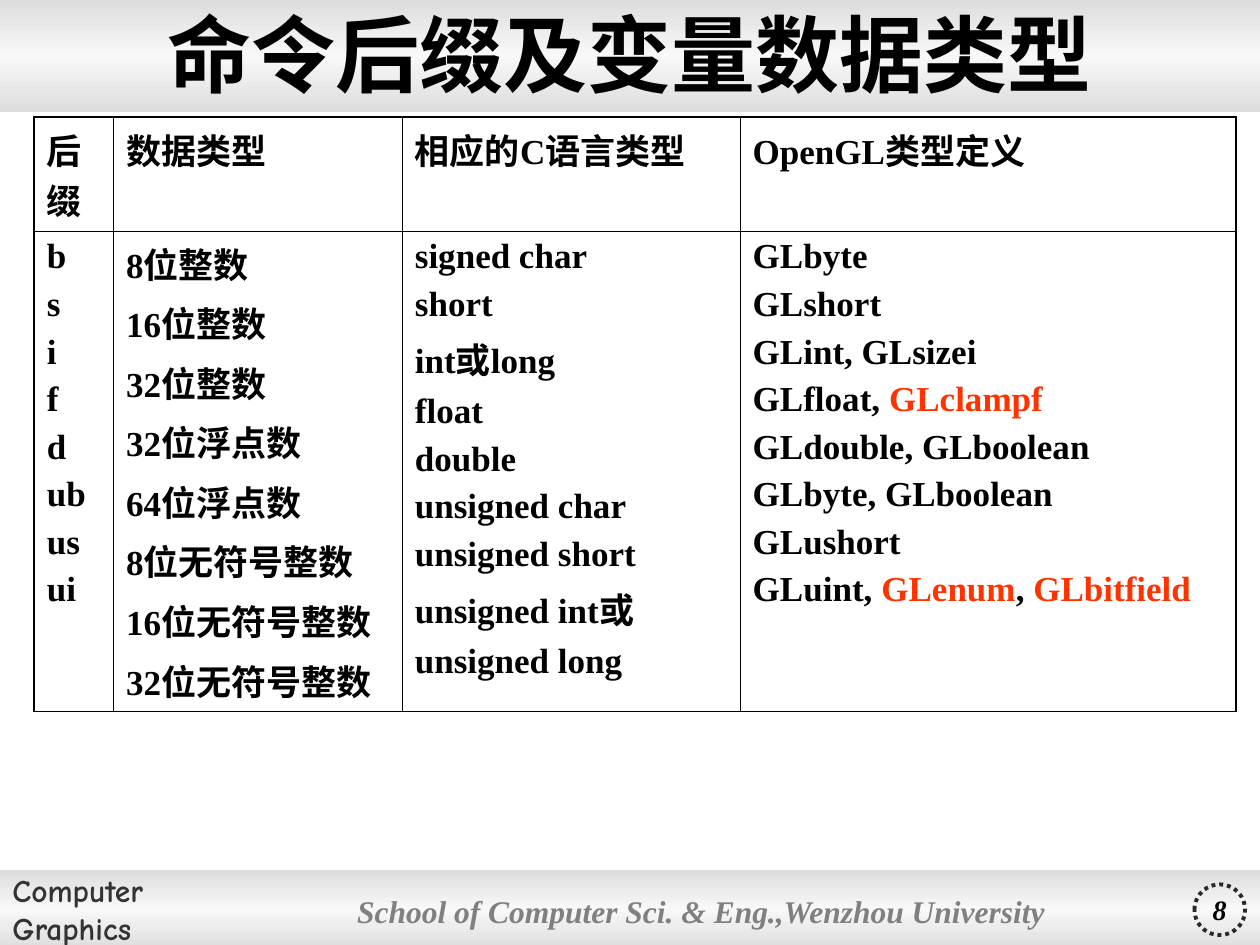
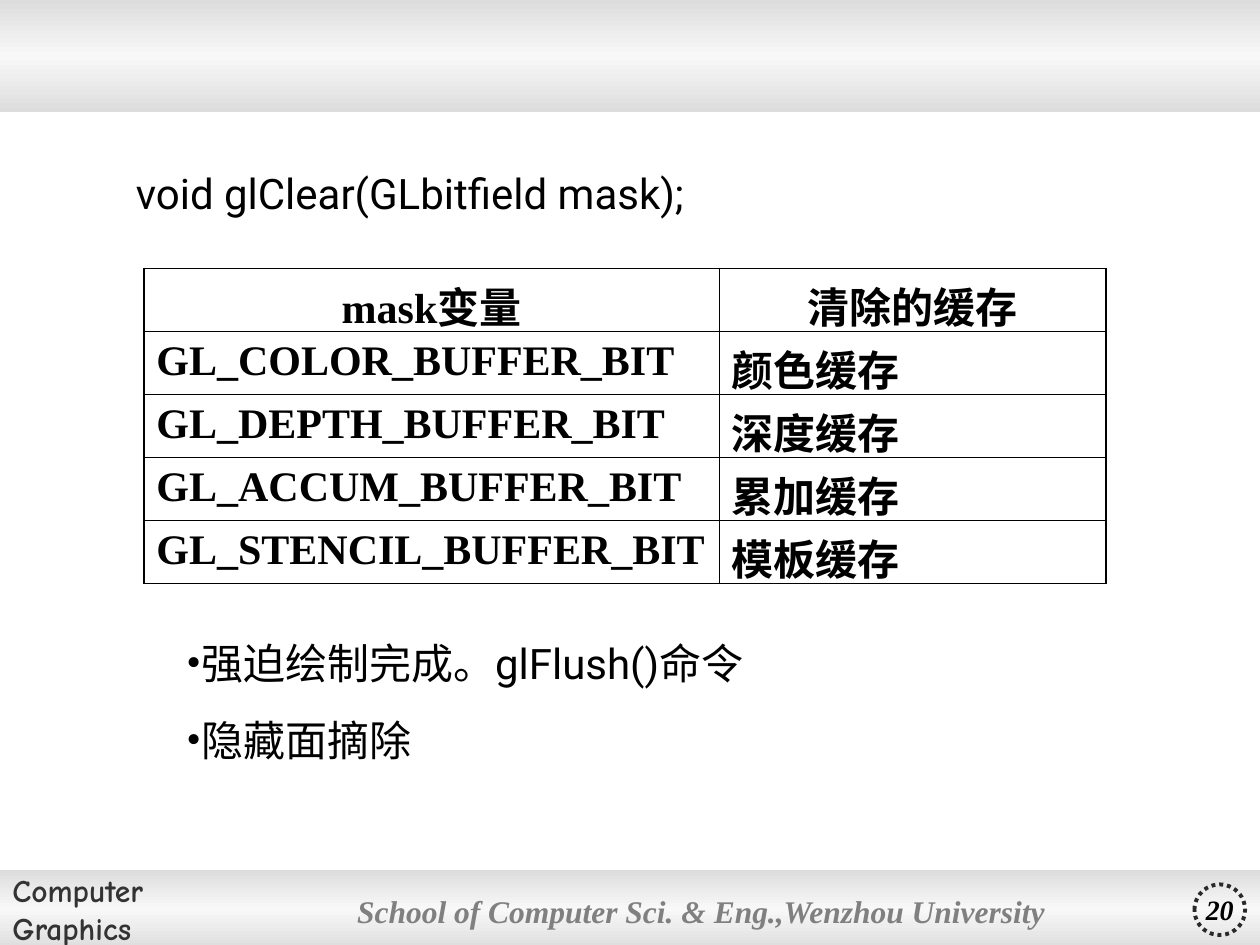
import pptx
import pptx.util
import pptx.dml.color
import pptx.oxml
import pptx.oxml.ns
import pptx.enum.dml
import pptx.enum.shapes
import pptx.enum.text
from copy import deepcopy
from lxml import etree

Cm, Pt = pptx.util.Cm, pptx.util.Pt
SHAPE = pptx.enum.shapes.MSO_SHAPE
ALIGN = pptx.enum.text.PP_ALIGN
ANCHOR = pptx.enum.text.MSO_ANCHOR
qn = pptx.oxml.ns.qn

COLORS = {"ink": "000000", "red": "FF3300", "edge": "DDDDDD", "glow": "F8F8F8",
          "course": "333333", "school": "808080", "ring": "292929"}
SERIF, SANS, COMIC = "Times New Roman", "Roboto", "Comic Neue"
THICK, THIN = 1.08, 0.45

COURSE = ["Computer", "Graphics"]
SCHOOL = ["School of Computer Sci. & Eng.,Wenzhou University"]

TYPES = {
    "page": "8",
    "title": ["命令后缀及变量数据类型"],
    "at": (0.69, 2.36),
    "cols": [1.6, 5.82, 6.81, 10],
    "rows": [1.96, 9.3],
    "cells": [
        [["后缀"], ["数据类型"], ["相应的C语言类型"], ["OpenGL类型定义"]],
        [["b", "s", "i", "f", "d", "ub", "us", "ui"],
         ["8位整数", "16位整数", "32位整数", "32位浮点数", "64位浮点数",
          "8位无符号整数", "16位无符号整数", "32位无符号整数"],
         ["signed char", "short", "int或long", "float", "double", "unsigned char",
          "unsigned short", "unsigned int或", "unsigned long"],
         ["GLbyte", "GLshort", "GLint, GLsizei",
          ["GLfloat, ", ("GLclampf", "red")],
          "GLdouble, GLboolean", "GLbyte, GLboolean", "GLushort",
          ["GLuint, ", ("GLenum", "red"), ", ", ("GLbitfield", "red")]]],
    ],
}

BUFFERS = {
    "page": "20",
    "call": ["void glClear(GLbitfield mask);"],
    "notes": ["强迫绘制完成。glFlush()命令", "隐藏面摘除"],
    "at": (2.9, 5.41),
    "cols": [11.6, 7.8],
    "rows": [1.27] * 5,
    "cells": [
        [["mask变量"], ["清除的缓存"]],
        [["GL_COLOR_BUFFER_BIT"], ["颜色缓存"]],
        [["GL_DEPTH_BUFFER_BIT"], ["深度缓存"]],
        [["GL_ACCUM_BUFFER_BIT"], ["累加缓存"]],
        [["GL_STENCIL_BUFFER_BIT"], ["模板缓存"]],
    ],
}


def rgb(name):
    return pptx.dml.color.RGBColor.from_string(COLORS[name])


def add_bullet(p):
    pPr = p._p.get_or_add_pPr()
    pPr.set("marL", "0")
    pPr.set("indent", str(Cm(1.02)))
    clr = etree.SubElement(pPr, qn("a:buClr"))
    etree.SubElement(clr, qn("a:srgbClr"), val=COLORS["ink"])
    etree.SubElement(pPr, qn("a:buFont"), typeface=SERIF)
    etree.SubElement(pPr, qn("a:buChar"), char="•")


def write(tf, paras, size, font=SERIF, color="ink", bold=False, italic=False,
          align=ALIGN.LEFT, before=0, bullet=False):
    for i, runs in enumerate(paras):
        p = tf.add_paragraph() if i else tf.paragraphs[0]
        if bullet:
            add_bullet(p)
        p.alignment = align
        p.line_spacing = 1.0
        p.space_before = Pt(before if i else 0)
        for run in [runs] if isinstance(runs, str) else runs:
            text, tint = (run, color) if isinstance(run, str) else run
            r = p.add_run()
            r.text = text
            r.font.size, r.font.name = Pt(size), font
            r.font.bold, r.font.italic = bold, italic
            r.font.color.rgb = rgb(tint)


def add_plain(s, kind, x, y, w, h):
    sp = s.shapes.add_shape(kind, Cm(x), Cm(y), Cm(w), Cm(h))
    sp.shadow.inherit = False
    sp.fill.background()
    sp.line.fill.background()
    sp.text_frame.vertical_anchor = ANCHOR.MIDDLE
    return sp


def add_band(s, y, h):
    sp = add_plain(s, SHAPE.RECTANGLE, 0, y, 25.4, h)
    sp.fill.gradient()
    sp.fill.gradient_angle = 90
    stop = sp._element.spPr.find(".//" + qn("a:gs"))
    stop.addnext(deepcopy(stop))
    for gs, pos, name in zip(sp.fill.gradient_stops, (0, 0.5, 1), ("edge", "glow", "edge")):
        gs.position = pos
        gs.color.rgb = rgb(name)
    return sp


def add_frame(s, page):
    foot = add_band(s, 17.53, 1.6)
    write(foot.text_frame, COURSE, 18, COMIC, "course", bold=True)
    add_band(s, 0, 2.26)

    school = add_plain(s, SHAPE.ROUNDED_RECTANGLE, 7.06, 17.53, 15.21, 1.68)
    school.adjustments[0] = 0.02
    tf = school.text_frame
    tf.margin_left = tf.margin_right = Cm(0.13)
    tf.margin_top = tf.margin_bottom = Cm(0.05)
    write(tf, SCHOOL, 18, color="school", bold=True, italic=True)

    ring = add_plain(s, SHAPE.OVAL, 24.08, 17.83, 1.02, 1.02)
    ring.line.color.rgb = rgb("ring")
    ring.line.width = Pt(2.25)
    ring.line.dash_style = pptx.enum.dml.MSO_LINE.ROUND_DOT
    ring.text_frame.word_wrap = False
    write(ring.text_frame, [page], 16, bold=True, italic=True, align=ALIGN.CENTER)


def set_borders(cell, widths):
    tcPr = cell._tc.get_or_add_tcPr()
    for i, (side, width) in enumerate(zip("LRTB", widths)):
        ln = etree.Element(qn("a:ln" + side), w=str(Pt(width)))
        fill = etree.SubElement(ln, qn("a:solidFill"))
        etree.SubElement(fill, qn("a:srgbClr"), val=COLORS["ink"])
        tcPr.insert(i, ln)


def add_grid(s, data, size, before=0, head=ALIGN.LEFT):
    cols, rows = data["cols"], data["rows"]
    x, y = data["at"]
    table = s.shapes.add_table(len(rows), len(cols), Cm(x), Cm(y),
                               Cm(sum(cols)), Cm(sum(rows))).table
    table.first_row = table.horz_banding = False
    for column, w in zip(table.columns, cols):
        column.width = Cm(w)
    for row, h in zip(table.rows, rows):
        row.height = Cm(h)
    for i, line in enumerate(data["cells"]):
        for j, paras in enumerate(line):
            cell = table.cell(i, j)
            cell.fill.background()
            outer = (j == 0, j == len(cols) - 1, i == 0, i == len(rows) - 1)
            set_borders(cell, [THICK if edge else THIN for edge in outer])
            write(cell.text_frame, paras, size, bold=True, before=before,
                  align=ALIGN.LEFT if i else head)


def add_text(s, x, y, w, h, paras, **style):
    tf = s.shapes.add_textbox(Cm(x), Cm(y), Cm(w), Cm(h)).text_frame
    tf.word_wrap = True
    write(tf, paras, 24, SANS, **style)


def add_title(s, paras):
    title = s.shapes.title
    title.left, title.top, title.width, title.height = Cm(0), Cm(-0.08), Cm(25.4), Cm(2.29)
    tf = title.text_frame
    tf.auto_size = pptx.enum.text.MSO_AUTO_SIZE.NONE
    tf.vertical_anchor = ANCHOR.MIDDLE
    write(tf, paras, 48, bold=True, align=ALIGN.CENTER)
    title._element.getparent().append(title._element)


def build_types(prs):
    s = prs.slides.add_slide(prs.slide_layouts[5])
    add_frame(s, TYPES["page"])
    add_grid(s, TYPES, 20, before=5)
    add_title(s, TYPES["title"])


def build_buffers(prs):
    s = prs.slides.add_slide(prs.slide_layouts[6])
    add_frame(s, BUFFERS["page"])
    add_text(s, 2.49, 12.73, 21.62, 2.82, BUFFERS["notes"], before=15, bullet=True)
    add_grid(s, BUFFERS, 24, head=ALIGN.CENTER)
    add_text(s, 2.49, 3.25, 17, 1.27, BUFFERS["call"])


def main():
    prs = pptx.Presentation()
    prs.slide_width, prs.slide_height = Cm(25.4), Cm(19.05)
    build_types(prs)
    build_buffers(prs)
    prs.save("out.pptx")


if __name__ == "__main__":
    main()
